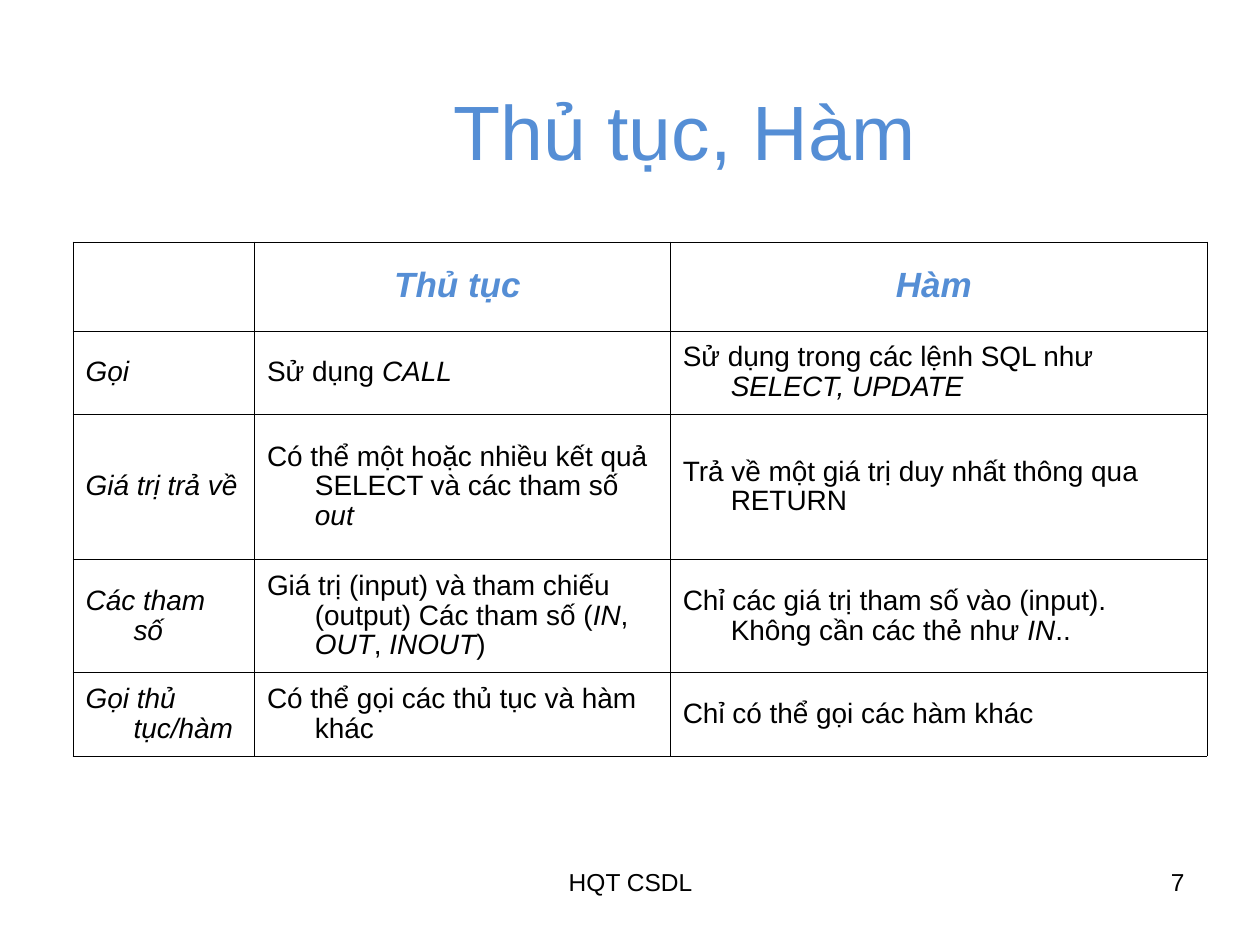
from lxml.etree import SubElement
from pptx import Presentation
from pptx.dml.color import RGBColor
from pptx.enum.text import MSO_ANCHOR as Anchor, PP_ALIGN as Align
from pptx.oxml.ns import qn
from pptx.util import Inches, Pt

BLUE, BLACK = "558ED5", "000000"
TITLE = "Thủ tục, Hàm "
# Asterisks enclose italic words.
ROWS = [
    ("", "*Thủ tục *", "*Hàm *"),
    ("*Gọi*", "Sử dụng *CALL*", "Sử dụng trong các lệnh SQL như *SELECT, UPDATE*"),
    ("*Giá trị trả về*",
     "Có thể một hoặc nhiều kết quả SELECT và các tham số *out*",
     "Trả về một giá trị duy nhất thông qua RETURN"),
    ("*Các tham số*",
     "Giá trị (input) và tham chiếu (output) Các tham số (*IN*, *OUT*, *INOUT*)",
     "Chỉ các giá trị tham số vào (input). Không cần các thẻ như *IN*.."),
    ("*Gọi thủ tục/hàm*", "Có thể gọi các thủ tục và hàm khác",
     "Chỉ có thể gọi các hàm khác"),
]
COLUMN_WIDTHS = [1.44, 3.3, 4.26]
ROW_HEIGHTS = [0.71, 0.66, 1.15, 0.9, 0.66]
TABLE_LEFT, TABLE_TOP = 0.58, 1.92
FOOTERS = [("HQT CSDL", 3.42, 3.17, Align.CENTER), ("7", 7.17, 2.33, Align.RIGHT)]
FOOTER_TOP, FOOTER_HEIGHT = 6.83, 0.52


def style(paragraph, size, color, align=Align.LEFT, bold=False):
    """Set the font and alignment of a paragraph."""
    font = paragraph.font
    font.name, font.size, font.bold = "Arial", Pt(size), bold
    font.color.rgb = RGBColor.from_string(color)
    paragraph.alignment = align


def add_borders(cell):
    """Draw a thin black line on every side of a cell."""
    properties = cell._tc.get_or_add_tcPr()
    for side in ("a:lnL", "a:lnR", "a:lnT", "a:lnB"):
        line = SubElement(properties, qn(side), w=str(Pt(0.45)))
        SubElement(SubElement(line, qn("a:solidFill")), qn("a:srgbClr"), val=BLACK)


def fill_cell(cell, words, is_header):
    """Write a cell with a hanging indent and its italic words."""
    add_borders(cell)
    cell.fill.background()
    cell.vertical_anchor = Anchor.MIDDLE
    paragraph = cell.text_frame.paragraphs[0]
    if is_header:
        style(paragraph, 20, BLUE, Align.CENTER, bold=True)
    else:
        style(paragraph, 16, BLACK)
    paragraph.line_spacing = 0.96
    indents = paragraph._p.get_or_add_pPr()
    indents.set("marL", str(Inches(0.38)))
    indents.set("indent", str(Inches(-0.38)))
    for index, part in enumerate(words.split("*")):
        if part:
            run = paragraph.add_run()
            run.text = part
            run.font.italic = index % 2 == 1


def add_comparison(slide):
    """Add the table that compares procedures and functions."""
    frame = slide.shapes.add_table(
        len(ROWS), len(COLUMN_WIDTHS), Inches(TABLE_LEFT), Inches(TABLE_TOP),
        Inches(sum(COLUMN_WIDTHS)), Inches(sum(ROW_HEIGHTS)))
    table = frame.table
    table.first_row = table.horz_banding = False
    for column, width in zip(table.columns, COLUMN_WIDTHS):
        column.width = Inches(width)
    for index, (row, height, texts) in enumerate(zip(table.rows, ROW_HEIGHTS, ROWS)):
        row.height = Inches(height)
        for cell, words in zip(row.cells, texts):
            fill_cell(cell, words, index == 0)


def main():
    """Build and save the slide."""
    deck = Presentation()
    deck.slide_width, deck.slide_height = Inches(10), Inches(7.5)
    slide = deck.slides.add_slide(deck.slide_layouts[5])

    title = slide.shapes.title
    title.left, title.top = Inches(1.26), Inches(0.23)
    title.width, title.height = Inches(8.52), Inches(1.6)
    title.text = TITLE
    title.text_frame.vertical_anchor = Anchor.MIDDLE
    style(title.text_frame.paragraphs[0], 44, BLUE, Align.CENTER)

    add_comparison(slide)

    for words, left, width, align in FOOTERS:
        footer = slide.shapes.add_textbox(
            Inches(left), Inches(FOOTER_TOP), Inches(width), Inches(FOOTER_HEIGHT))
        footer.text_frame.word_wrap = True
        footer.text_frame.text = words
        style(footer.text_frame.paragraphs[0], 14, BLACK, align)

    deck.save("out.pptx")


if __name__ == "__main__":
    main()
